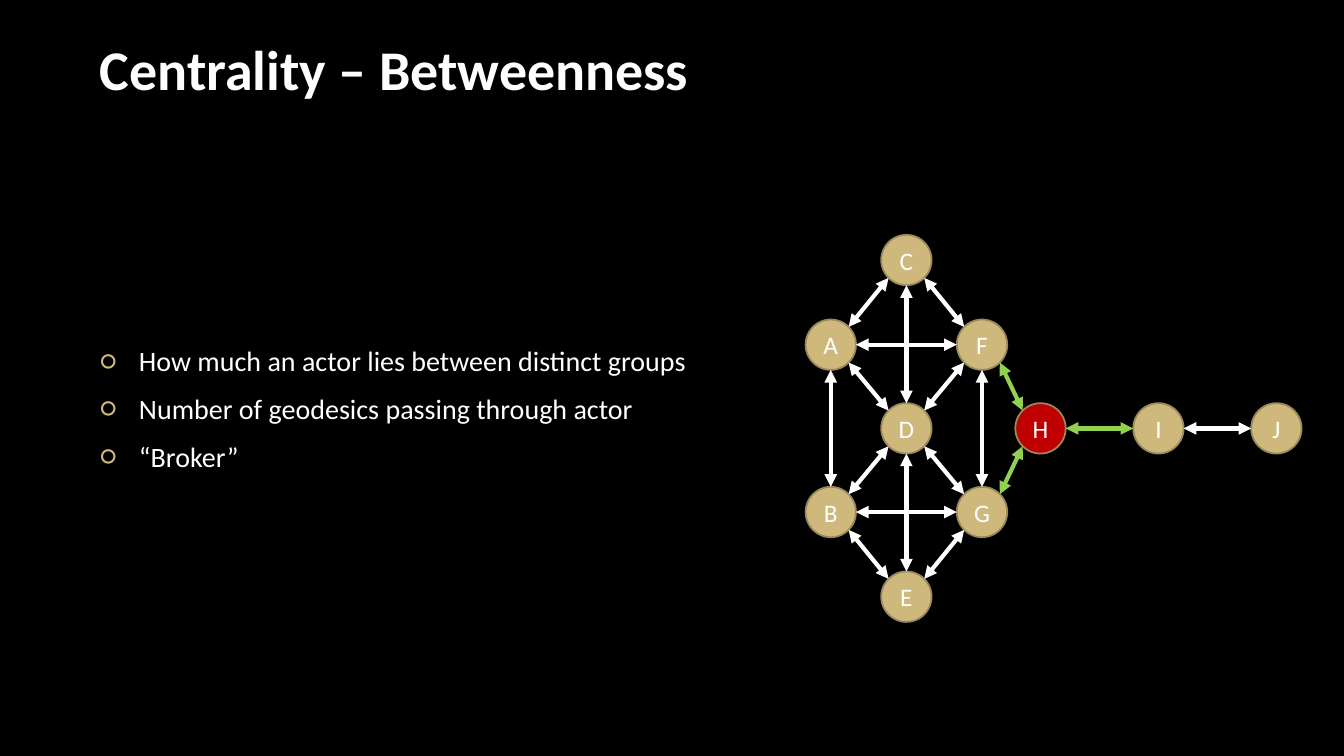
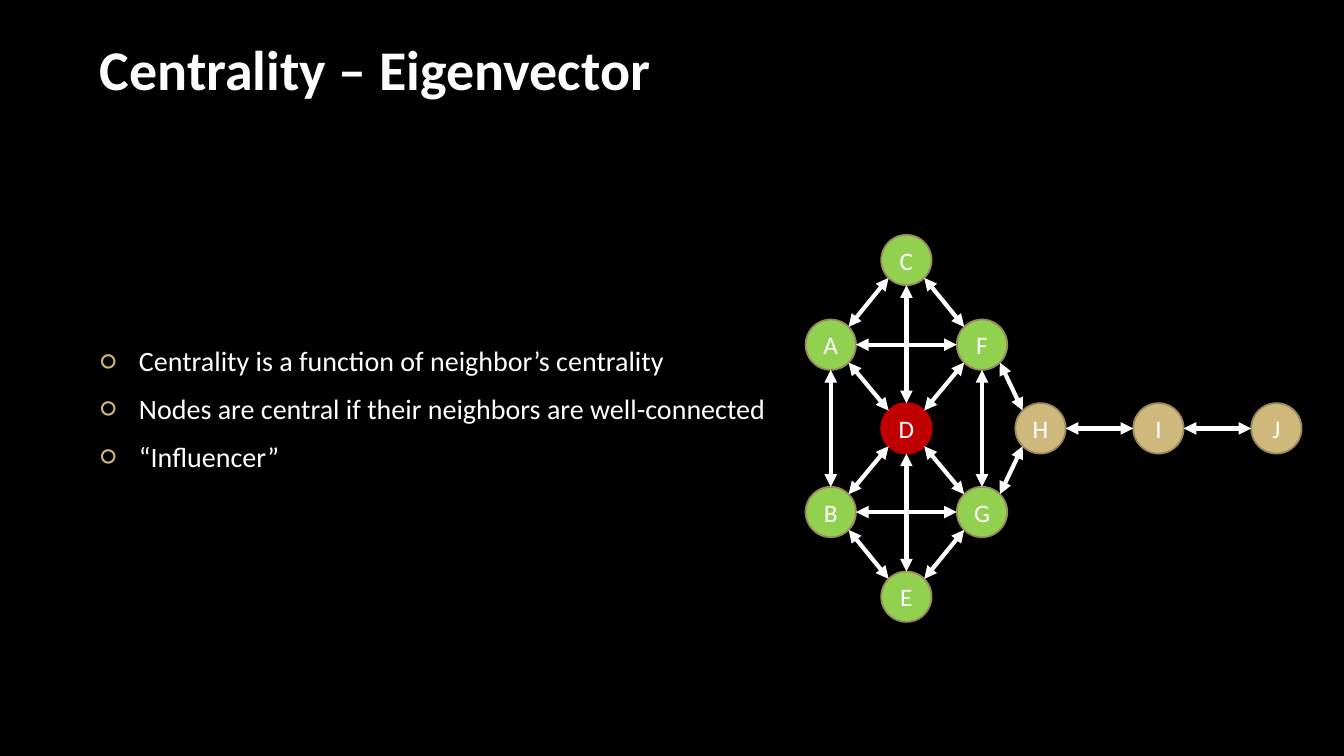
import math

from lxml import etree
from pptx import Presentation
from pptx.dml.color import RGBColor
from pptx.enum import shapes, text
from pptx.oxml import ns
from pptx.util import Inches, Pt

BLACK = RGBColor(0x00, 0x00, 0x00)
WHITE = RGBColor(0xFF, 0xFF, 0xFF)
TITLE_WHITE = RGBColor(0xFE, 0xFE, 0xFE)
GOLD = RGBColor(0xCF, 0xB8, 0x7C)
DARK_GOLD = RGBColor(0x99, 0x88, 0x5C)
RED = RGBColor(0xC0, 0x00, 0x00)
GREEN = RGBColor(0x92, 0xD0, 0x50)
FONT = "Calibri"

# Content: node and tie colours list only what differs from gold and white
SLIDES = [
    {
        "title": "Centrality – Betweenness",
        "points": [
            "How much an actor lies between distinct groups",
            "Number of geodesics passing through actor",
            "“Broker”",
        ],
        "fills": {"H": RED},
        "outlines": {},
        "ties": dict.fromkeys(["HF", "HG", "IH"], GREEN),
    },
    {
        "title": "Centrality – Eigenvector",
        "points": [
            "Centrality is a function of neighbor’s centrality",
            "Nodes are central if their neighbors are well-connected",
            "“Influencer”",
        ],
        "fills": {**dict.fromkeys("ABCEFG", GREEN), "D": RED},
        "outlines": {"D": RED},
        "ties": {},
    },
]

# Network: each actor's column and row, and the ties between actors
COLUMNS = [8.24, 8.99, 9.74, 10.32, 11.49, 12.66]
ROWS = [2.58, 3.42, 4.25, 5.08, 5.92]
ACTORS = {
    "A": (0, 1), "D": (1, 2), "B": (0, 3), "H": (3, 2), "I": (4, 2),
    "F": (2, 1), "G": (2, 3), "E": (1, 4), "C": (1, 0), "J": (5, 2),
}
TIES = ["CF", "CA", "DA", "FD", "DB", "DG", "DE", "DC", "EB", "EG",
        "HF", "HG", "IH", "JI", "AB", "FA", "FG", "BG"]
RADIUS = 0.25
# Connection sites of an ellipse, by direction from its centre
SITES = {(0, -1): 0, (-1, -1): 1, (-1, 0): 2, (-1, 1): 3,
         (0, 1): 4, (1, 1): 5, (1, 0): 6, (1, -1): 7}


def sign(value):
    return (value > 0) - (value < 0)


def add_child(parent, tag, **attributes):
    return etree.SubElement(parent, ns.qn(tag), attributes)


def add_run(paragraph, words, size, color, bold=False):
    run = paragraph.add_run()
    run.text = words
    run.font.name = FONT
    run.font.size = Pt(size)
    run.font.bold = bold
    run.font.color.rgb = color


def add_title(slide, words):
    title = slide.shapes.title
    title.left, title.top = Inches(0.89), Inches(0)
    title.width, title.height = Inches(11.56), Inches(1.06)
    frame = title.text_frame
    frame.auto_size = text.MSO_AUTO_SIZE.NONE
    frame.vertical_anchor = text.MSO_ANCHOR.BOTTOM
    frame.paragraphs[0].alignment = text.PP_ALIGN.LEFT
    add_run(frame.paragraphs[0], words, 40, TITLE_WHITE, bold=True)


def add_points(slide, points):
    box = slide.shapes.add_textbox(Inches(0.9), Inches(1.55), Inches(7.02), Inches(5))
    frame = box.text_frame
    frame.word_wrap = True
    frame.vertical_anchor = text.MSO_ANCHOR.MIDDLE
    for index, point in enumerate(points):
        paragraph = frame.add_paragraph() if index else frame.paragraphs[0]
        properties = paragraph._p.get_or_add_pPr()
        properties.set("marL", str(Inches(0.38)))
        properties.set("indent", str(-Inches(0.38)))
        add_child(add_child(properties, "a:buClr"), "a:srgbClr", val=str(GOLD))
        add_child(properties, "a:buFont", typeface=FONT)
        add_child(properties, "a:buChar", char="○")
        paragraph.space_before = Pt(4 if index else 0)
        paragraph.space_after = Pt(6)
        add_run(paragraph, point, 20, WHITE)


def add_actor(network, name, fill, outline):
    column, row = ACTORS[name]
    actor = network.shapes.add_shape(
        shapes.MSO_SHAPE.OVAL,
        Inches(COLUMNS[column] - RADIUS), Inches(ROWS[row] - RADIUS),
        Inches(2 * RADIUS), Inches(2 * RADIUS))
    actor.shadow.inherit = False
    actor.fill.solid()
    actor.fill.fore_color.rgb = fill
    actor.line.color.rgb = outline
    actor.line.width = Pt(1.25)
    frame = actor.text_frame
    frame.margin_left = frame.margin_right = 0
    frame.margin_top = frame.margin_bottom = 0
    frame.word_wrap = False
    frame.vertical_anchor = text.MSO_ANCHOR.MIDDLE
    frame.paragraphs[0].alignment = text.PP_ALIGN.CENTER
    add_run(frame.paragraphs[0], name, 18, WHITE)
    return actor


def rim_point(name, direction):
    column, row = ACTORS[name]
    reach = RADIUS / math.hypot(*direction)
    return (Inches(COLUMNS[column] + reach * direction[0]),
            Inches(ROWS[row] + reach * direction[1]))


def add_tie(network, actors, start, end, color):
    outward = tuple(sign(b - a) for a, b in zip(ACTORS[start], ACTORS[end]))
    inward = (-outward[0], -outward[1])
    tie = network.shapes.add_connector(
        shapes.MSO_CONNECTOR.STRAIGHT,
        *rim_point(start, outward), *rim_point(end, inward))
    tie.line.color.rgb = color
    tie.line.width = Pt(3)
    # Arrowheads at both ends, no shadow
    properties = tie._element.spPr
    line = properties.find(ns.qn("a:ln"))
    add_child(line, "a:headEnd", type="triangle")
    add_child(line, "a:tailEnd", type="triangle")
    add_child(properties, "a:effectLst")
    # Join to the ellipses' eight sites
    joints = tie._element.find(".//" + ns.qn("p:cNvCxnSpPr"))
    for tag, name, direction in (("a:stCxn", start, outward), ("a:endCxn", end, inward)):
        add_child(joints, tag, id=str(actors[name].shape_id), idx=str(SITES[direction]))


def add_network(slide, content):
    network = slide.shapes.add_group_shape()
    actors = {
        name: add_actor(network, name, content["fills"].get(name, GOLD),
                        content["outlines"].get(name, DARK_GOLD))
        for name in ACTORS
    }
    for tie in TIES:
        add_tie(network, actors, *tie, content["ties"].get(tie, WHITE))


def main():
    deck = Presentation()
    deck.slide_width, deck.slide_height = Inches(13.33), Inches(7.5)
    backdrop = deck.slide_master.background.fill
    backdrop.solid()
    backdrop.fore_color.rgb = BLACK
    for content in SLIDES:
        slide = deck.slides.add_slide(deck.slide_layouts[5])
        add_title(slide, content["title"])
        add_points(slide, content["points"])
        add_network(slide, content)
    deck.save("out.pptx")


if __name__ == "__main__":
    main()
